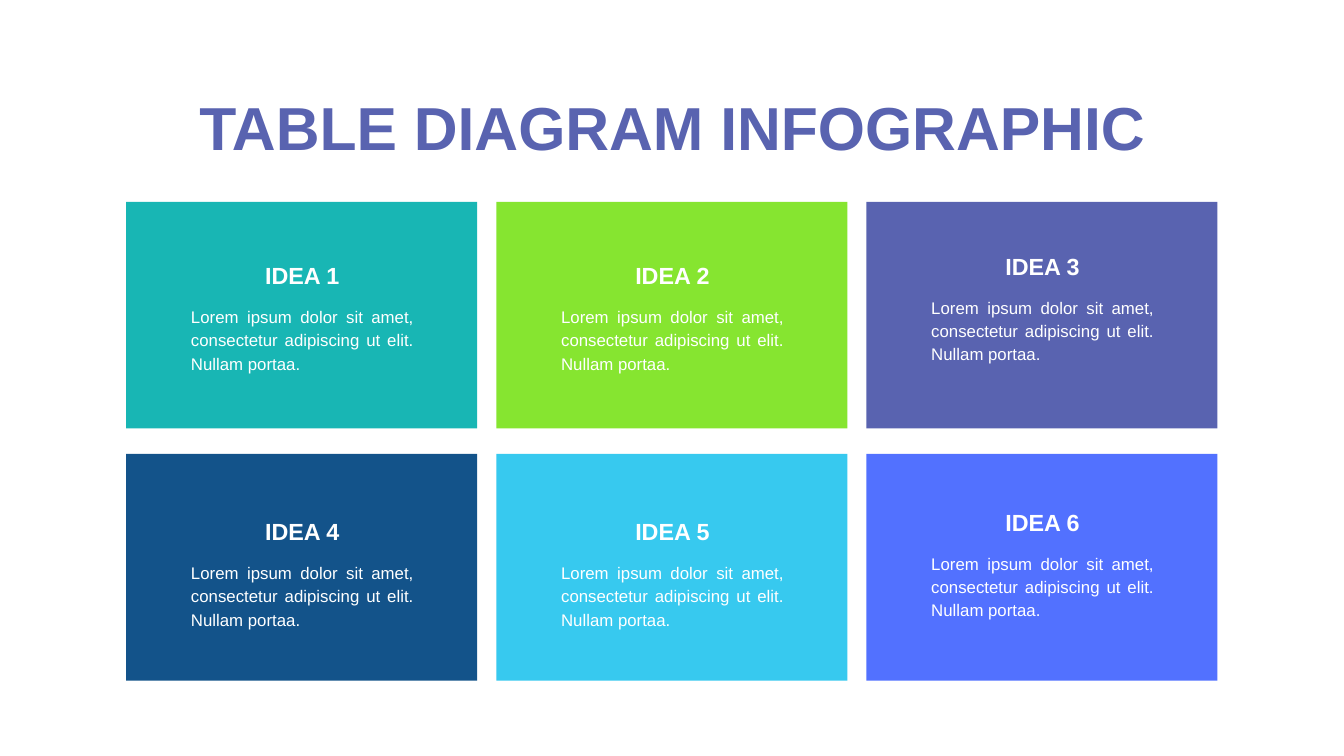
from dataclasses import dataclass

from pptx import Presentation
from pptx import util as u
from pptx.dml.color import RGBColor
from pptx.enum import shapes, text


@dataclass(frozen=True)
class Theme:
    font: str = "Arial"
    title_color: str = "5963B0"
    card_text: str = "FFFFFF"
    card_fills: tuple = ("18B6B4", "86E530", "5963B0", "13538A", "37C9EF", "5271FF")
    title_size: int = 65
    heading_size: int = 25
    body_size: int = 18


TITLE = "TABLE DIAGRAM INFOGRAPHIC"
BODY = "Lorem ipsum dolor sit amet, consectetur adipiscing ut elit. Nullam portaa."

# Card grid, in centimetres
COLUMNS = 3
GRID_LEFT, GRID_TOP = 4.77, 7.63
CARD_WIDTH, CARD_HEIGHT = 13.27, 8.57
COLUMN_STEP, ROW_STEP = 13.99, 9.53

# Text inside a card, in centimetres
TEXT_INSET, TEXT_WIDTH = 2.45, 8.41
HEADING_DROP = (2.26, 2.41)  # one per row
LAST_COLUMN_LIFT = 0.36
BODY_DROP = 1.6


def write(box, words, *, font, size, color, bold=False,
          align=text.PP_ALIGN.CENTER, spacing=1.0):
    """Put one formatted paragraph in a box."""
    frame = box.text_frame
    frame.word_wrap = True
    frame.auto_size = text.MSO_AUTO_SIZE.SHAPE_TO_FIT_TEXT
    frame.margin_left = frame.margin_right = 0
    frame.margin_top = frame.margin_bottom = 0
    para = frame.paragraphs[0]
    para.alignment = align
    para.line_spacing = spacing
    span = para.add_run()
    span.text = words
    span.font.name = font
    span.font.size = u.Pt(size)
    span.font.bold = bold
    span.font.color.rgb = RGBColor.from_string(color)


class Painter:
    """Holds the theme and the current slide."""

    def __init__(self, page, theme):
        self.page = page
        self.theme = theme

    def panel(self, left, top, width, height, fill):
        panel = self.page.shapes.add_shape(
            shapes.MSO_SHAPE.RECTANGLE,
            u.Cm(left), u.Cm(top), u.Cm(width), u.Cm(height))
        panel.shadow.inherit = False
        panel.fill.solid()
        panel.fill.fore_color.rgb = RGBColor.from_string(fill)
        panel.line.fill.background()

    def label(self, words, left, top, width, height, **style):
        box = self.page.shapes.add_textbox(
            u.Cm(left), u.Cm(top), u.Cm(width), u.Cm(height))
        write(box, words, font=self.theme.font, **style)

    def title(self, words):
        self.label(words, 2.08, 3.11, 46.69, 2.57, size=self.theme.title_size,
                   color=self.theme.title_color, bold=True, spacing=1.1)

    def card(self, index):
        row, column = divmod(index, COLUMNS)
        left = GRID_LEFT + column * COLUMN_STEP
        top = GRID_TOP + row * ROW_STEP
        self.panel(left, top, CARD_WIDTH, CARD_HEIGHT, self.theme.card_fills[index])

        text_left = left + TEXT_INSET
        text_top = top + HEADING_DROP[row]
        if column == COLUMNS - 1:
            text_top -= LAST_COLUMN_LIFT
        self.label(f"IDEA {index + 1}", text_left, text_top, TEXT_WIDTH, 0.94,
                   size=self.theme.heading_size, color=self.theme.card_text, bold=True)
        self.label(BODY, text_left, text_top + BODY_DROP, TEXT_WIDTH, 2.54,
                   size=self.theme.body_size, color=self.theme.card_text,
                   align=text.PP_ALIGN.JUSTIFY, spacing=1.15)


def main():
    deck = Presentation()
    deck.slide_width, deck.slide_height = u.Cm(50.8), u.Cm(28.58)
    page = deck.slides.add_slide(deck.slide_layouts[6])
    painter = Painter(page, Theme())

    # Heading
    painter.title(TITLE)

    # Idea cards
    for index in range(len(painter.theme.card_fills)):
        painter.card(index)

    deck.save("out.pptx")


if __name__ == "__main__":
    main()
